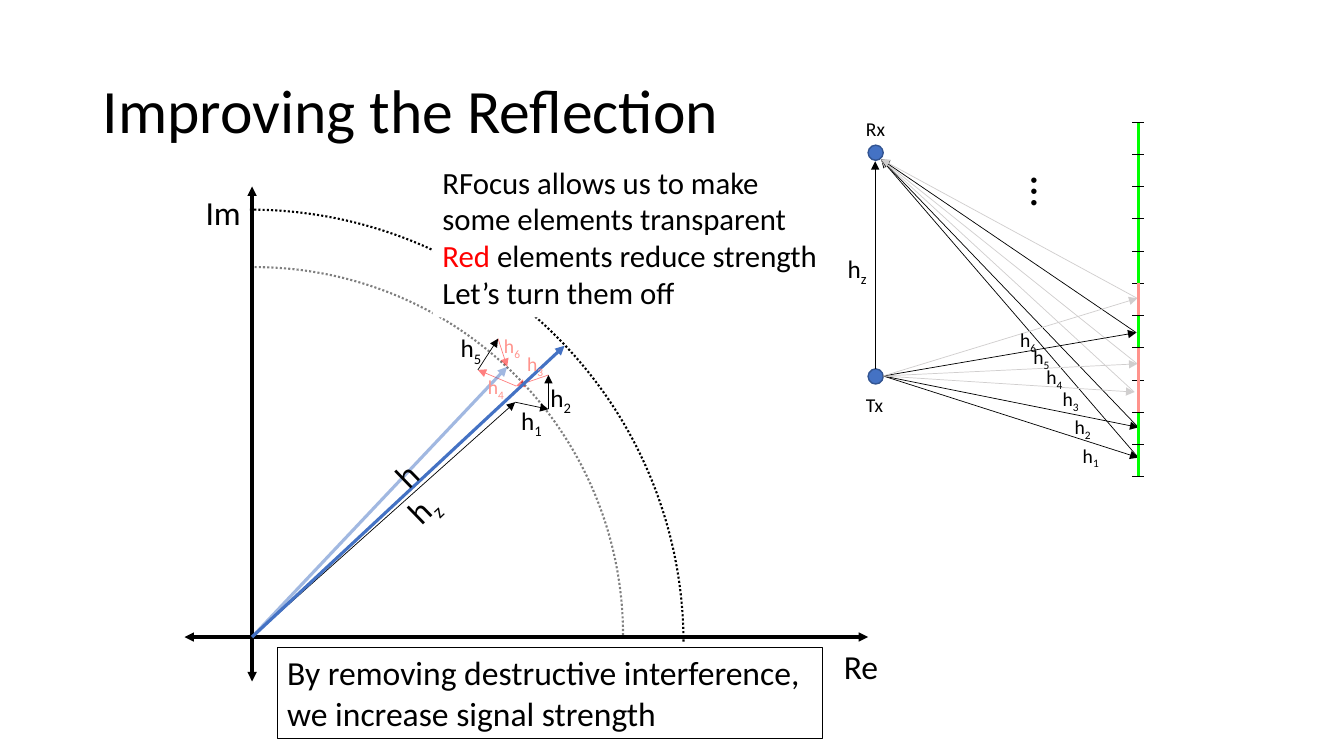
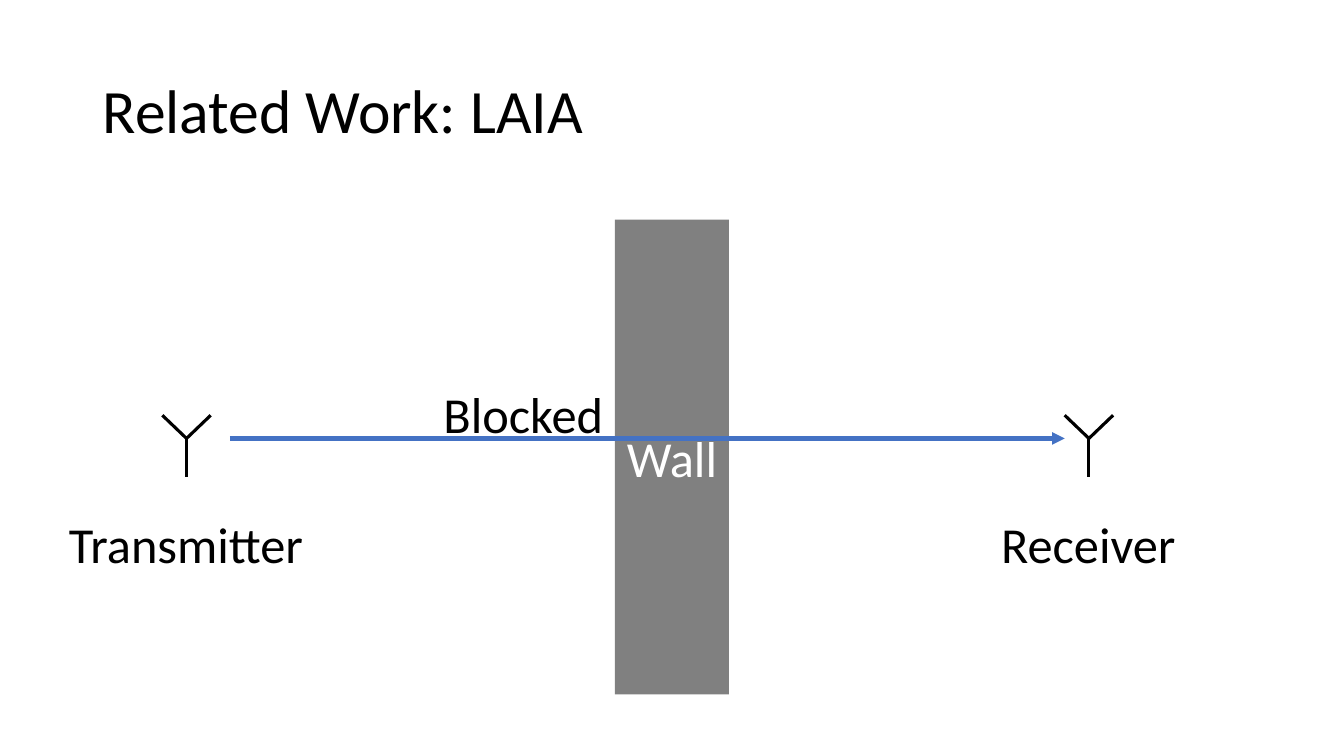
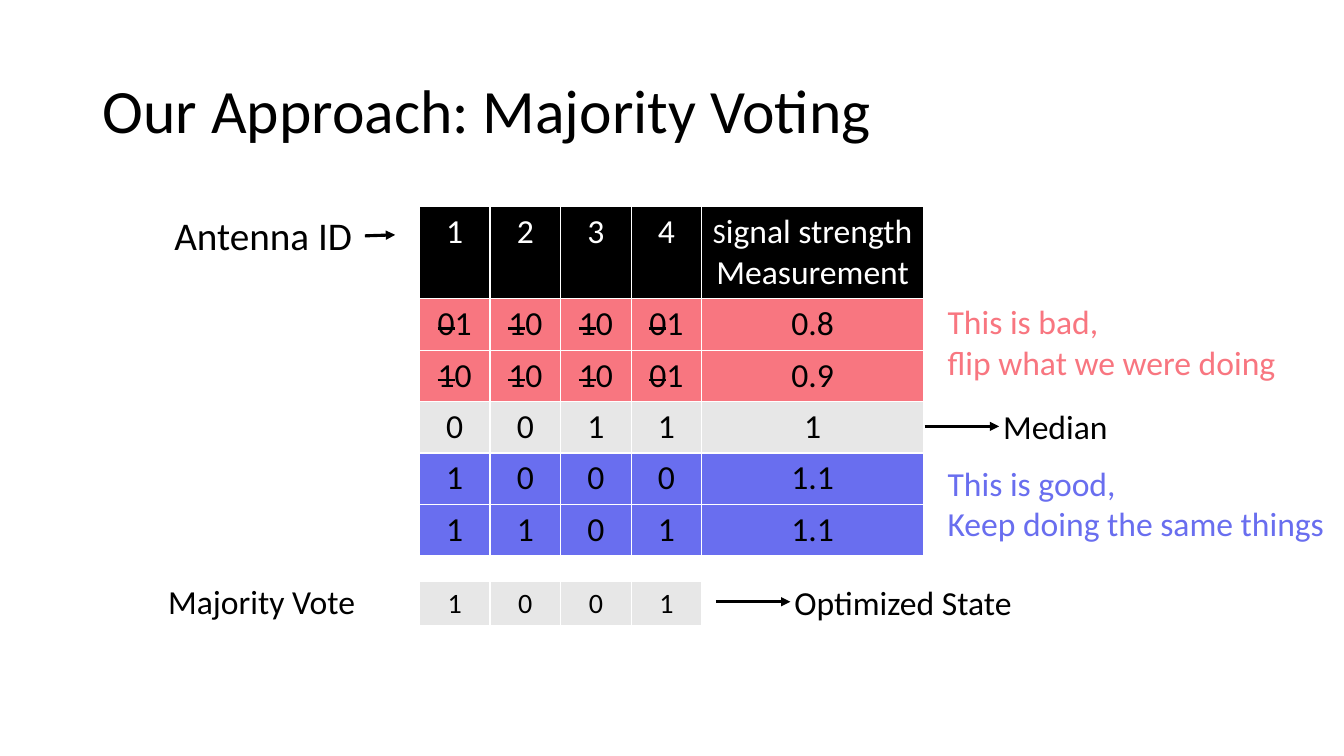
from dataclasses import dataclass

import pptx
import pptx.dml.color
import pptx.enum.dml
import pptx.enum.shapes
import pptx.enum.text
import pptx.oxml
import pptx.oxml.ns
import pptx.util
from pptx.util import Inches

ALIGN = pptx.enum.text.PP_ALIGN
ANCHOR = pptx.enum.text.MSO_ANCHOR
SHAPE = pptx.enum.shapes.MSO_SHAPE


@dataclass(frozen=True)
class Theme:
    font: str = "Calibri"
    black: str = "000000"
    white: str = "FFFFFF"
    blue: str = "4472C4"
    dark_blue: str = "325491"
    red: str = "FF0000"
    pale_red: str = "FF938C"
    green: str = "00FF00"
    pale_gray: str = "D0CECE"
    wall: str = "808080"
    bad: str = "F87680"
    good: str = "696EEF"
    neutral: str = "E7E7E7"
    title: int = 44
    huge: int = 36
    dots: int = 32
    large: int = 28
    body: int = 24
    note: int = 22
    medium: int = 20
    symbol: int = 18
    small: int = 14
    hairline: float = 0.5
    bold_line: float = 2.25


THEME = Theme()


@dataclass(frozen=True)
class Run:
    """A piece of text; fields left as None follow the paragraph."""
    text: str
    color: str | None = None
    size: int | None = None
    subscript: bool = False
    strike: bool = False


def rgb(color):
    return pptx.dml.color.RGBColor.from_string(color)


def add_element(parent, tag, **attributes):
    child = pptx.oxml.parse_xml(f"<{tag} {pptx.oxml.ns.nsdecls('a')}/>")
    for name, value in attributes.items():
        child.set(name, value)
    parent.append(child)
    return child


def write(frame, paragraphs, size, color, align=ALIGN.LEFT):
    """Fill a text frame; each paragraph is a list of Run objects or a string."""
    for index, content in enumerate(paragraphs):
        paragraph = frame.add_paragraph() if index else frame.paragraphs[0]
        paragraph.alignment = align
        for piece in [Run(content)] if isinstance(content, str) else content:
            run = paragraph.add_run()
            run.text = piece.text
            run.font.name = THEME.font
            run.font.size = pptx.util.Pt(piece.size or size)
            run.font.color.rgb = rgb(piece.color or color)
            properties = run._r.get_or_add_rPr()
            if piece.subscript:
                properties.set("baseline", "-25000")
            if piece.strike:
                properties.set("strike", "sngStrike")


def channel(index):
    """Paragraph for the symbol h with a subscript."""
    return [Run("h"), Run(index, subscript=True)]


def style_line(shape, color, width, opacity=100, dash=None, head=False, tail=False):
    line = shape.line
    line.color.rgb = rgb(color)
    line.width = pptx.util.Pt(width)
    if dash is not None:
        line.dash_style = dash
    outline = shape._element.spPr.find(pptx.oxml.ns.qn("a:ln"))
    if opacity < 100:
        color_element = outline.find(".//" + pptx.oxml.ns.qn("a:srgbClr"))
        add_element(color_element, "a:alpha", val=str(opacity * 1000))
    if head:
        add_element(outline, "a:headEnd", type="triangle")
    if tail:
        add_element(outline, "a:tailEnd", type="triangle")


def add_line(shapes, start, end, color=THEME.black, width=THEME.hairline, **style):
    connector = shapes.add_connector(
        pptx.enum.shapes.MSO_CONNECTOR.STRAIGHT,
        *(Inches(value) for value in (*start, *end)))
    style_line(connector, color, width, **style)
    add_element(connector._element.spPr, "a:effectLst")
    return connector


def add_arrow(shapes, start, end, color=THEME.black, width=THEME.hairline, **style):
    return add_line(shapes, start, end, color, width, tail=True, **style)


def add_label(shapes, paragraphs, box, size, color=THEME.black, align=ALIGN.LEFT, rotation=0):
    label = shapes.add_textbox(*(Inches(value) for value in box))
    label.rotation = rotation
    frame = label.text_frame
    frame.word_wrap = False
    frame.auto_size = pptx.enum.text.MSO_AUTO_SIZE.SHAPE_TO_FIT_TEXT
    write(frame, paragraphs, size, color, align)


def add_preset(shapes, kind, box, fill=None):
    """Preset shape without shadow or outline."""
    shape = shapes.add_shape(kind, *(Inches(value) for value in box))
    shape.shadow.inherit = False
    if fill:
        shape.fill.solid()
        shape.fill.fore_color.rgb = rgb(fill)
    else:
        shape.fill.background()
    shape.line.fill.background()
    return shape


def add_note(shapes, paragraphs, box, size):
    note = add_preset(shapes, SHAPE.RECTANGLE, box, THEME.white)
    note.text_frame.word_wrap = False
    note.text_frame.vertical_anchor = ANCHOR.TOP
    write(note.text_frame, paragraphs, size, THEME.black)
    return note


def add_grid(shapes, left, top, widths, heights, rows, fills, size, colors):
    """Table of centred cells with white borders; fills and colors go by row."""
    frame = shapes.add_table(len(rows), len(widths), Inches(left), Inches(top),
                             Inches(sum(widths)), Inches(sum(heights)))
    table = frame.table
    table.first_row = table.horz_banding = False
    for column, width in zip(table.columns, widths):
        column.width = Inches(width)
    for row, height, contents, fill, color in zip(table.rows, heights, rows, fills, colors):
        row.height = Inches(height)
        for cell, content in zip(row.cells, contents):
            properties = cell._tc.get_or_add_tcPr()
            for side in "LRTB":
                border = add_element(properties, f"a:ln{side}", w="12700")
                solid = add_element(border, "a:solidFill")
                add_element(solid, "a:srgbClr", val=THEME.white)
            cell.fill.solid()
            cell.fill.fore_color.rgb = rgb(fill)
            write(cell.text_frame, [content], size, color, ALIGN.CENTER)


def add_titled_slide(presentation, text):
    slide = presentation.slides.add_slide(presentation.slide_layouts[5])
    title = slide.shapes.title
    title.left, title.top, title.width, title.height = map(Inches, (0.92, 0.4, 11.5, 1.45))
    frame = title.text_frame
    frame.word_wrap = True
    frame.auto_size = pptx.enum.text.MSO_AUTO_SIZE.NONE
    frame.vertical_anchor = ANCHOR.MIDDLE
    write(frame, [text], THEME.title, THEME.black)
    frame.paragraphs[0].line_spacing = 0.9
    return slide.shapes


def add_phasor_plot(shapes):
    """Complex plane with the channel vectors and their sums."""
    origin, old_sum, new_sum = (2.5, 6.32), (5.03, 3.64), (5.6, 3.43)
    for start, end in (((2.5, 1.85), (2.5, 6.76)), ((1.83, 6.32), (8.61, 6.32))):
        add_arrow(shapes, start, end, width=THEME.bold_line, head=True)
    add_label(shapes, ["Re"], (8.27, 6.36, 0.55, 0.5), THEME.body)
    add_label(shapes, ["Im"], (1.94, 1.85, 0.55, 0.5), THEME.body)

    for left, top, diameter, opacity in ((-1.82, 2.08, 8.6, 100), (-1.13, 2.65, 7.31, 50)):
        arc = add_preset(shapes, SHAPE.ARC, (left, top, diameter, diameter))
        style_line(arc, THEME.black, 1.5, opacity, pptx.enum.dml.MSO_LINE.ROUND_DOT)

    chain = [origin, (5.11, 3.99), (5.44, 4.06), (5.44, 3.72),
             (5.12, 3.83), (4.74, 3.67), (4.94, 3.36), old_sum]
    destructive = (3, 4, 6)
    for index, (start, end) in enumerate(zip(chain, chain[1:])):
        if index in destructive:
            add_arrow(shapes, start, end, THEME.red, opacity=50)
        else:
            add_arrow(shapes, start, end)
    add_arrow(shapes, origin, new_sum, THEME.blue, THEME.bold_line)
    add_arrow(shapes, origin, old_sum, THEME.blue, THEME.bold_line, opacity=50)

    for index, left, top in (("1", 5.07, 3.97), ("2", 5.36, 3.74), ("5", 4.47, 3.25)):
        add_label(shapes, [channel(index)], (left, top, 0.42, 0.4), THEME.symbol)
    for index, left, top in (("3", 5.13, 3.44), ("4", 4.74, 3.67), ("6", 4.9, 3.26)):
        add_label(shapes, [channel(index)], (left, top, 0.37, 0.34), THEME.small, THEME.pale_red)
    add_label(shapes, [channel("z")], (3.95, 4.78, 0.47, 0.5), THEME.body, rotation=315.9)
    add_label(shapes, ["h"], (3.84, 4.46, 0.38, 0.5), THEME.body, rotation=315.9)


def add_surface_diagram(shapes):
    """Paths from Tx to Rx by way of the elements of the surface."""
    for name, dot_top, label_top in (("Tx", 3.66, 3.85), ("Rx", 1.44, 1.11)):
        dot = add_preset(shapes, SHAPE.OVAL, (8.61, dot_top, 0.15, 0.15), THEME.blue)
        style_line(dot, THEME.dark_blue, 1)
        add_label(shapes, [name], (8.49, label_top, 0.39, 0.34), THEME.small)
    add_arrow(shapes, (8.68, 3.66), (8.68, 1.6))
    add_label(shapes, [channel("z")], (8.31, 2.46, 0.4, 0.4), THEME.symbol)

    paths = [(11.29, 4.54, THEME.black), (11.29, 4.24, THEME.black),
             (11.25, 3.89, THEME.pale_gray), (11.28, 3.61, THEME.pale_gray),
             (11.27, 3.3, THEME.black), (11.28, 2.96, THEME.pale_gray)]
    for x, y, color in paths:
        add_arrow(shapes, (8.76, 3.73), (x, y), color)
        add_arrow(shapes, (x, y), (8.74, 1.58), color)
    label_corners = [(10.64, 4.35), (10.56, 4.07), (10.44, 3.79),
                     (10.28, 3.57), (10.15, 3.37), (10.02, 3.2)]
    for number, corner in enumerate(label_corners, 1):
        add_label(shapes, [channel(str(number))], (*corner, 0.37, 0.34), THEME.small)

    surface_x, surface_top, pitch, tick_count = 11.29, 1.21, 0.32, 12
    tick_tops = [surface_top + pitch * index for index in range(tick_count)]
    add_line(shapes, (surface_x, surface_top), (surface_x, tick_tops[-1]),
             THEME.green, THEME.bold_line)
    ticks = shapes.add_group_shape().shapes
    for y in tick_tops:
        add_line(ticks, (surface_x - 0.06, y), (surface_x + 0.06, y))
    for first, last in ((7, 9), (5, 6)):
        add_line(shapes, (surface_x, tick_tops[first]), (surface_x, tick_tops[last]),
                 THEME.pale_red, THEME.bold_line)
    add_label(shapes, ["…"], (10.15, 1.59, 0.51, 0.64), THEME.dots, rotation=90)


def build_reflection(presentation):
    shapes = add_titled_slide(presentation, "Improving the Reflection")
    add_phasor_plot(shapes)
    add_surface_diagram(shapes)
    conclusion = add_note(shapes, ["By removing destructive interference,",
                                   "we increase signal strength"],
                          (2.75, 6.42, 5.41, 0.91), THEME.body)
    style_line(conclusion, THEME.black, 0.75)
    add_note(shapes, ["RFocus allows us to make", "some elements transparent",
                      [Run("Red ", THEME.red), Run("elements reduce strength")],
                      "Let’s turn them off"],
             (4.29, 1.57, 3.96, 1.58), THEME.note)


def add_antenna(shapes, center):
    antenna = shapes.add_group_shape().shapes
    fork = (center, 4.35)
    for end in ((center - 0.24, 4.12), (center + 0.24, 4.12), (center, 4.73)):
        add_line(antenna, end, fork, width=THEME.bold_line)


def build_related_work(presentation):
    shapes = add_titled_slide(presentation, "Related Work: LAIA")
    wall = add_preset(shapes, SHAPE.RECTANGLE, (6.1, 2.18, 1.13, 4.71), THEME.wall)
    wall.text_frame.vertical_anchor = ANCHOR.MIDDLE
    write(wall.text_frame, ["Wall"], THEME.huge, THEME.white, ALIGN.CENTER)
    for name, center, left, width in (("Transmitter", 1.85, 0.57, 2.55),
                                      ("Receiver", 10.8, 9.82, 1.95)):
        add_antenna(shapes, center)
        add_label(shapes, [name], (left, 5.04, width, 0.71), THEME.huge, align=ALIGN.CENTER)
    add_arrow(shapes, (2.28, 4.35), (10.56, 4.35), THEME.blue, 3)
    add_label(shapes, ["Blocked"], (4.3, 3.75, 1.8, 0.71), THEME.huge)


def flipped(bits):
    """Each bit struck out and followed by its opposite."""
    return [[Run(bit, strike=True), Run("10"[int(bit)])] for bit in bits]


def build_majority_voting(presentation):
    shapes = add_titled_slide(presentation, "Our Approach: Majority Voting")
    table_left, bit_widths = 4.16, [0.7] * 4
    rows = [[*"1234", [Run("S", size=THEME.medium), Run("ignal strength Measurement")]],
            [*flipped("0110"), "0.8"],
            [*flipped("1110"), "0.9"],
            [*"0011", "1"],
            [*"1000", "1.1"],
            [*"1101", "1.1"]]
    fills = [THEME.black, THEME.bad, THEME.bad, THEME.neutral, THEME.good, THEME.good]
    add_grid(shapes, table_left, 2.05, bit_widths + [2.2], [0.91] + [0.51] * 5, rows, fills,
             THEME.body, [THEME.white] + [THEME.black] * 5)
    add_grid(shapes, table_left, 5.77, bit_widths, [0.43], ["1001"], [THEME.neutral],
             THEME.medium, [THEME.black])

    for start_x, y, text, left, width in ((9.17, 4.23, "Median", 9.85, 1.25),
                                          (7.1, 5.97, "Optimized State", 7.78, 2.38)):
        add_arrow(shapes, (start_x, y), (start_x + 0.74, y), width=THEME.bold_line)
        add_label(shapes, [text], (left, y - 0.25, width, 0.5), THEME.body)
    add_label(shapes, ["This is bad,", "flip what we were doing"],
              (9.3, 2.94, 3.6, 0.91), THEME.body, THEME.bad)
    add_label(shapes, ["This is good,", "Keep doing the same things"],
              (9.3, 4.54, 3.97, 0.91), THEME.body, THEME.good)
    add_label(shapes, ["Majority Vote"], (1.56, 5.71, 2.07, 0.5), THEME.body, align=ALIGN.CENTER)
    antenna_id = shapes.add_group_shape().shapes
    add_label(antenna_id, ["Antenna ID"], (1.63, 2.05, 1.99, 0.57), THEME.large)
    add_arrow(antenna_id, (3.62, 2.34), (3.92, 2.33), width=THEME.bold_line)


def main():
    presentation = pptx.Presentation()
    presentation.slide_width = Inches(13.33)
    presentation.slide_height = Inches(7.5)
    build_reflection(presentation)
    build_related_work(presentation)
    build_majority_voting(presentation)
    presentation.save("out.pptx")


if __name__ == "__main__":
    main()
